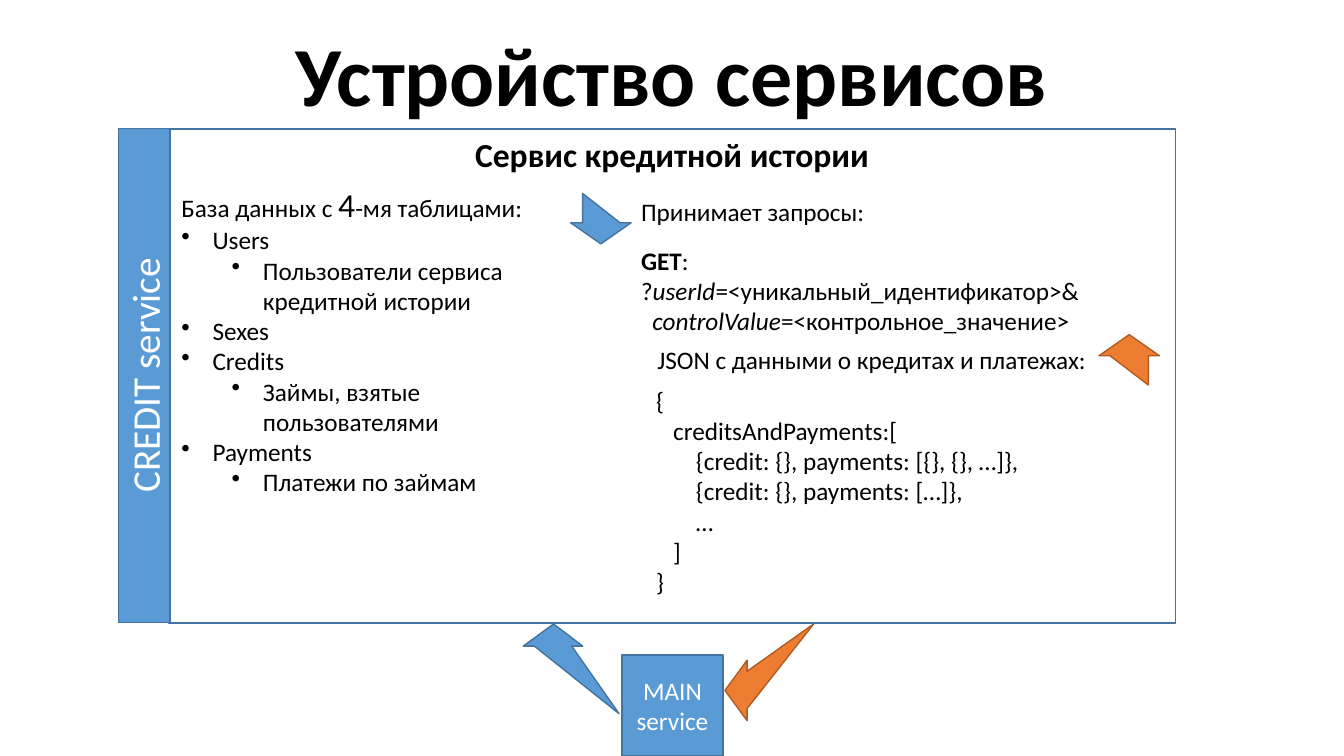
from lxml import etree
from pptx import Presentation
from pptx.dml.color import RGBColor
from pptx.enum import shapes, text
from pptx.oxml import ns
from pptx.util import Inches, Pt

COLORS = {"black": "000000", "white": "FFFFFF", "blue": "5B9BD5",
          "blue_edge": "43739E", "orange": "ED7D31", "orange_edge": "AF5C24"}
LEFT, CENTER, RIGHT = text.PP_ALIGN.LEFT, text.PP_ALIGN.CENTER, text.PP_ALIGN.RIGHT


def paint(sp, fill, edge):
    sp.shadow.inherit = False
    sp.fill.solid()
    sp.fill.fore_color.rgb = RGBColor.from_string(COLORS[fill])
    sp.line.color.rgb = RGBColor.from_string(COLORS[edge])
    sp.line.width = Pt(1)


def write(sp, lines, size=18, color="black", align=LEFT, wrap=True, middle=False):
    """Each line is a string or a list of (text, font settings) runs."""
    tf = sp.text_frame
    tf.word_wrap = wrap
    tf.vertical_anchor = text.MSO_ANCHOR.MIDDLE if middle else text.MSO_ANCHOR.TOP
    for i, line in enumerate(lines):
        p = tf.paragraphs[0] if i == 0 else tf.add_paragraph()
        p.alignment = align
        p.font.name = "Calibri"
        p.font.size = Pt(size)
        p.font.color.rgb = RGBColor.from_string(COLORS[color])
        for words, style in [(line, {})] if isinstance(line, str) else line:
            r = p.add_run()
            r.text = words
            for name, value in style.items():
                setattr(r.font, name, value)
    return tf


prs = Presentation()
prs.slide_width, prs.slide_height = Inches(13.33), Inches(7.5)
s = prs.slides.add_slide(prs.slide_layouts[6])
bold, italic = {"bold": True}, {"italic": True}

# Service frame
frame = s.shapes.add_shape(shapes.MSO_SHAPE.RECTANGLE,
                           Inches(1.67), Inches(1.28), Inches(9.99), Inches(4.9))
paint(frame, "white", "blue_edge")

# Headings, requests and JSON answer: place, lines, text settings
boxes = [
    ((1, 0.17, 11.33, 1.11), [[("Устройство сервисов", bold)]],
     {"size": 60, "align": CENTER, "middle": True}),
    ((4.59, 1.28, 4.15, 0.5), [[("Сервис кредитной истории", bold)]],
     {"size": 24, "align": CENTER, "wrap": False}),
    ((6.26, 1.9, 2.44, 0.4), ["Принимает запросы:"], {"wrap": False}),
    ((6.26, 2.38, 4.61, 1.01),
     [[("GET", bold), (":", {})],
      [("?", {}), ("userId", italic), ("=<уникальный_идентификатор>&", {})],
      [("  ", {}), ("controlValue", italic), ("=<контрольное_значение>", {})]],
     {"wrap": False}),
    ((6.26, 3.37, 4.61, 0.4), ["JSON с данными о кредитах и платежах:"], {"align": RIGHT}),
    ((6.41, 3.77, 4.46, 2.22),
     ["{",
      "   creditsAndPayments:[",
      "       {credit: {}, payments: [{}, {}, …]},",
      "       {credit: {}, payments: […]},",
      "       …",
      "   ]",
      "}"], {}),
]
for place, lines, settings in boxes:
    write(s.shapes.add_textbox(*map(Inches, place)), lines, **settings)

# Database tables: bullet level and text
tables = [(0, "Users"), (1, "Пользователи сервиса кредитной истории"), (0, "Sexes"),
          (0, "Credits"), (1, "Займы, взятые пользователями"),
          (0, "Payments"), (1, "Платежи по займам")]
database = s.shapes.add_textbox(Inches(1.7), Inches(1.78), Inches(3.81), Inches(3.23))
intro = [("База данных с ", {}), ("4", {"size": Pt(24)}), ("-мя таблицами:", {})]
tf = write(database, [intro] + [name for level, name in tables])
for p, (level, name) in zip(tf.paragraphs[1:], tables):
    p.level = level
    pPr = p._p.get_or_add_pPr()
    pPr.set("marL", str(Inches(0.31 + 0.5 * level)))
    pPr.set("indent", str(Inches(-0.31)))
    bullet = etree.Element(ns.qn("a:buChar"), char="•")
    pPr.insert(0, bullet)

# Request and answer arrows
arrows = [
    ("blue", [(5.96, 2.42), (6.26, 2.21), (6.15, 2.21), (5.78, 1.92), (5.78, 2.21), (5.66, 2.21)]),
    ("orange", [(11.2, 3.32), (10.9, 3.53), (11.01, 3.53), (11.39, 3.82), (11.39, 3.53), (11.5, 3.53)]),
    ("blue", [(5.49, 6.19), (5.19, 6.41), (5.3, 6.41), (6.14, 7.08), (5.67, 6.41), (5.78, 6.41)]),
    ("orange", [(7.19, 6.85), (7.41, 7.15), (7.41, 7.03), (8.07, 6.19), (7.41, 6.66), (7.41, 6.55)]),
]
for color, points in arrows:
    start, *rest = [(Inches(x), Inches(y)) for x, y in points]
    outline = s.shapes.build_freeform(*start)
    outline.add_line_segments(rest, close=True)
    paint(outline.convert_to_shape(), color, color + "_edge")

# Service labels
labels = [((6.17, 6.5, 1, 1), 0, ["MAIN", "service"], 18),
          ((-1.02, 3.47, 4.9, 0.51), 270, ["CREDIT service"], 28)]
for place, angle, lines, size in labels:
    sp = s.shapes.add_shape(shapes.MSO_SHAPE.RECTANGLE, *map(Inches, place))
    sp.rotation = angle
    paint(sp, "blue", "blue_edge")
    write(sp, lines, size, "white", CENTER, middle=True)

prs.save("out.pptx")
